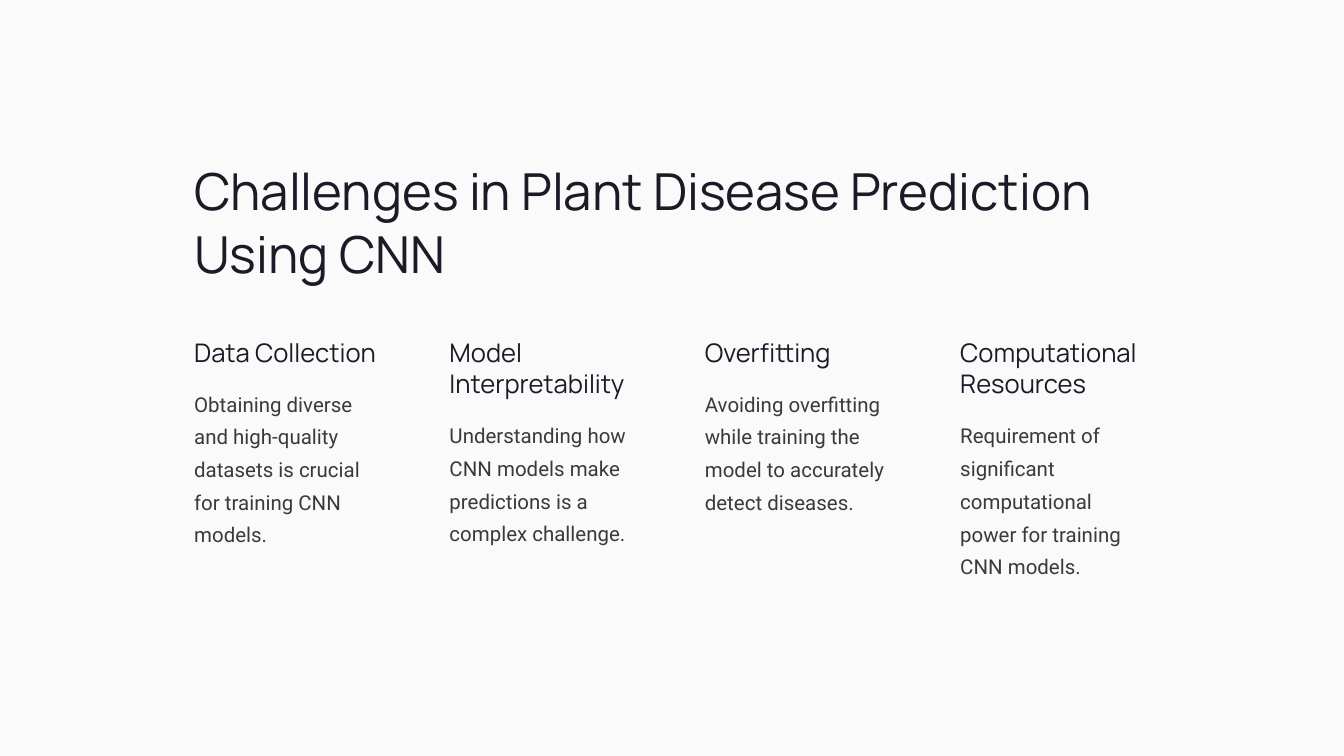
from dataclasses import dataclass

from lxml.etree import SubElement
from pptx import Presentation
from pptx.dml.color import RGBColor
from pptx.enum.shapes import MSO_SHAPE
from pptx.oxml.ns import qn
from pptx.util import Pt


@dataclass(frozen=True)
class Theme:
    base: str = "ECECF3"
    veil: str = "FFFFFF"
    # Each text style: font, size, line height, colour
    title: tuple = ("Manrope", 54.6, 68.3, "1B1B27")
    head: tuple = ("Manrope", 27.4, 34.1, "1B1B27")
    body: tuple = ("Roboto", 21.9, 35, "3C3939")


class Deck:
    def __init__(self, theme, wide, high):
        self.theme = theme
        self.wide, self.high = wide, high
        self.file = Presentation()
        self.file.slide_width = Pt(wide)
        self.file.slide_height = Pt(high)
        self.slide = self.file.slides.add_slide(self.file.slide_layouts[6])

    def panel(self, color, alpha=100):
        """Cover the whole slide with one colour, alpha in percent."""
        shape = self.slide.shapes.add_shape(
            MSO_SHAPE.RECTANGLE, 0, 0, Pt(self.wide), Pt(self.high))
        shape.shadow.inherit = False
        shape.line.fill.background()
        shape.fill.solid()
        shape.fill.fore_color.rgb = RGBColor.from_string(color)
        if alpha < 100:
            tint = next(shape.fill._xPr.iter(qn("a:srgbClr")))
            SubElement(tint, qn("a:alpha"), val=str(alpha * 1000))

    def text(self, words, style, left, top, width, height):
        font, size, lead, color = style
        box = self.slide.shapes.add_textbox(
            Pt(left), Pt(top), Pt(width), Pt(height))
        frame = box.text_frame
        frame.word_wrap = True
        frame.margin_left = frame.margin_right = 0
        frame.margin_top = frame.margin_bottom = 0
        para = frame.paragraphs[0]
        para.line_spacing = Pt(lead)
        run = para.add_run()
        run.text = words
        run.font.name = font
        run.font.size = Pt(size)
        run.font.color.rgb = RGBColor.from_string(color)


# Heading, lines in heading, body, lines in body
TOPICS = [
    ("Data Collection", 1,
     "Obtaining diverse and high-quality datasets is crucial "
     "for training CNN models.", 5),
    ("Model Interpretability", 2,
     "Understanding how CNN models make predictions is a "
     "complex challenge.", 4),
    ("Overfitting", 1,
     "Avoiding overfitting while training the model to accurately "
     "detect diseases.", 4),
    ("Computational Resources", 2,
     "Requirement of significant computational power for training "
     "CNN models.", 5),
]

LEFT, TOP = 208, 359.3
WIDTH, STEP = 205.2, 273.6
GAP = 17.6


def main():
    theme = Theme()
    deck = Deck(theme, 1440, 810)

    # Background
    deck.panel(theme.base)
    deck.panel(theme.veil, 75)

    # Title
    deck.text("Challenges in Plant Disease Prediction Using CNN",
              theme.title, LEFT, 167.8, 1024.6, 132.5)

    # Four columns, each body set below its own heading
    for col, (head, rows, body, lines) in enumerate(TOPICS):
        left = LEFT + col * STEP
        tall = rows * theme.head[2]
        deck.text(head, theme.head, left, TOP, WIDTH, tall)
        deck.text(body, theme.body, left, TOP + tall + GAP,
                  WIDTH, lines * theme.body[2])

    deck.file.save("out.pptx")


if __name__ == "__main__":
    main()
